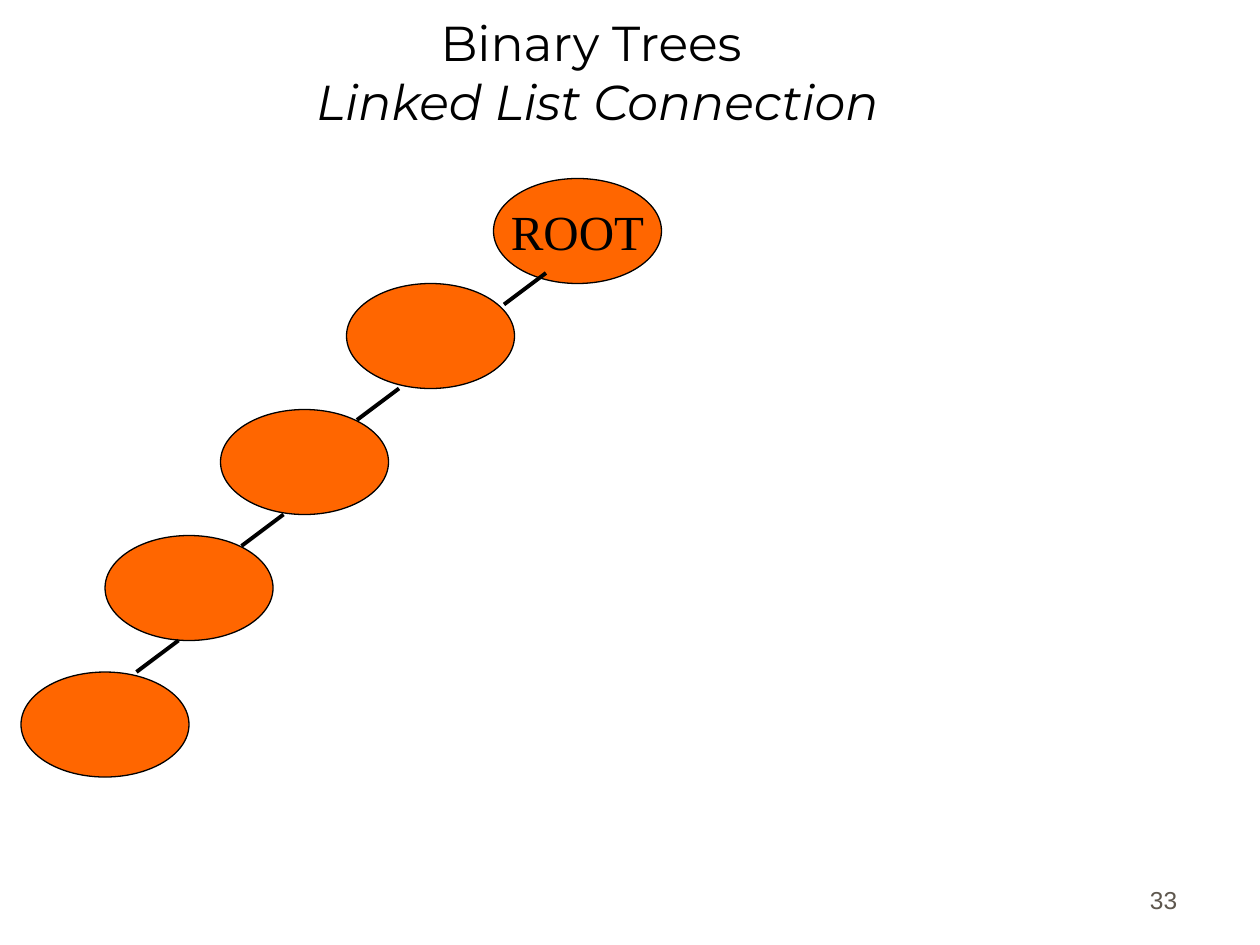
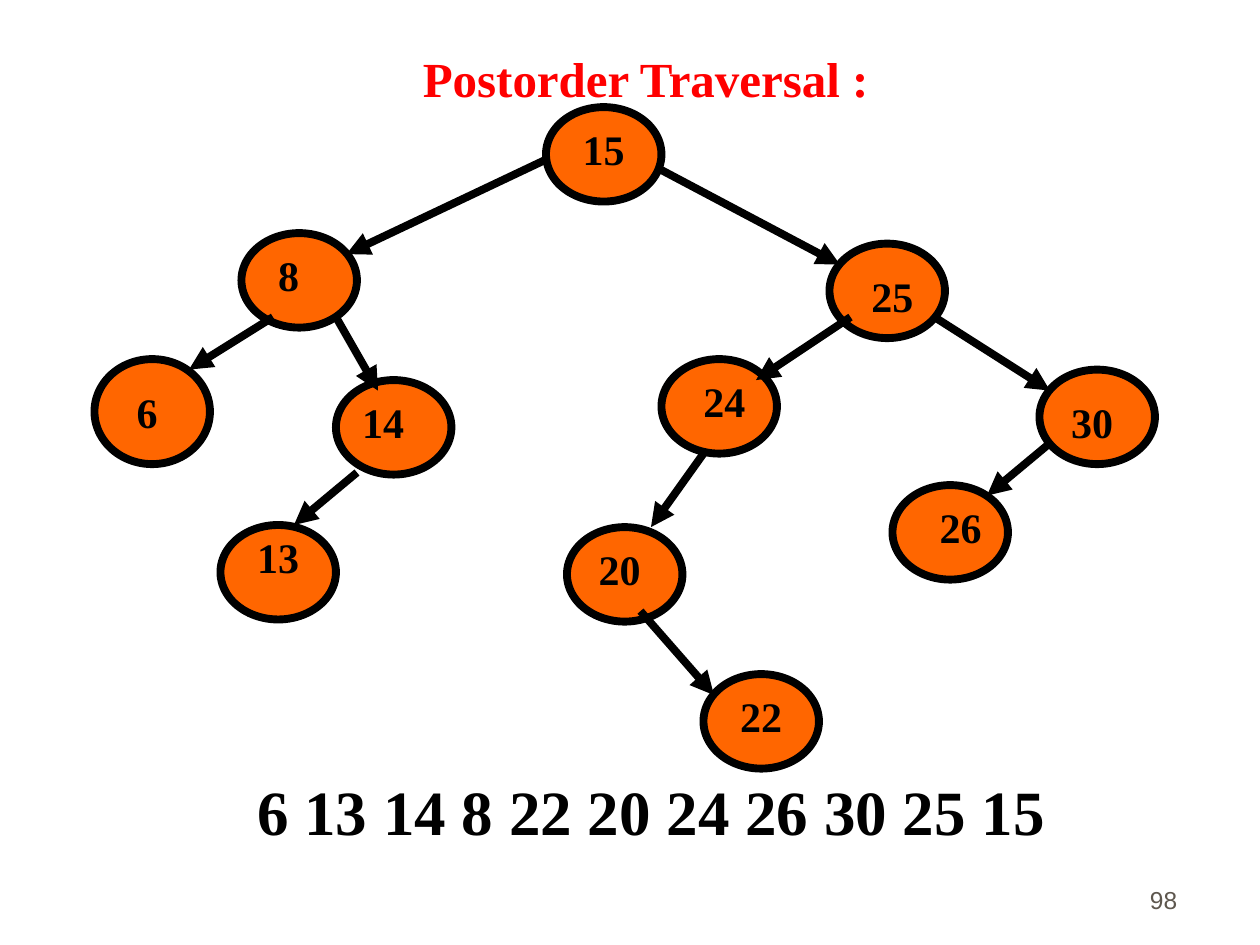
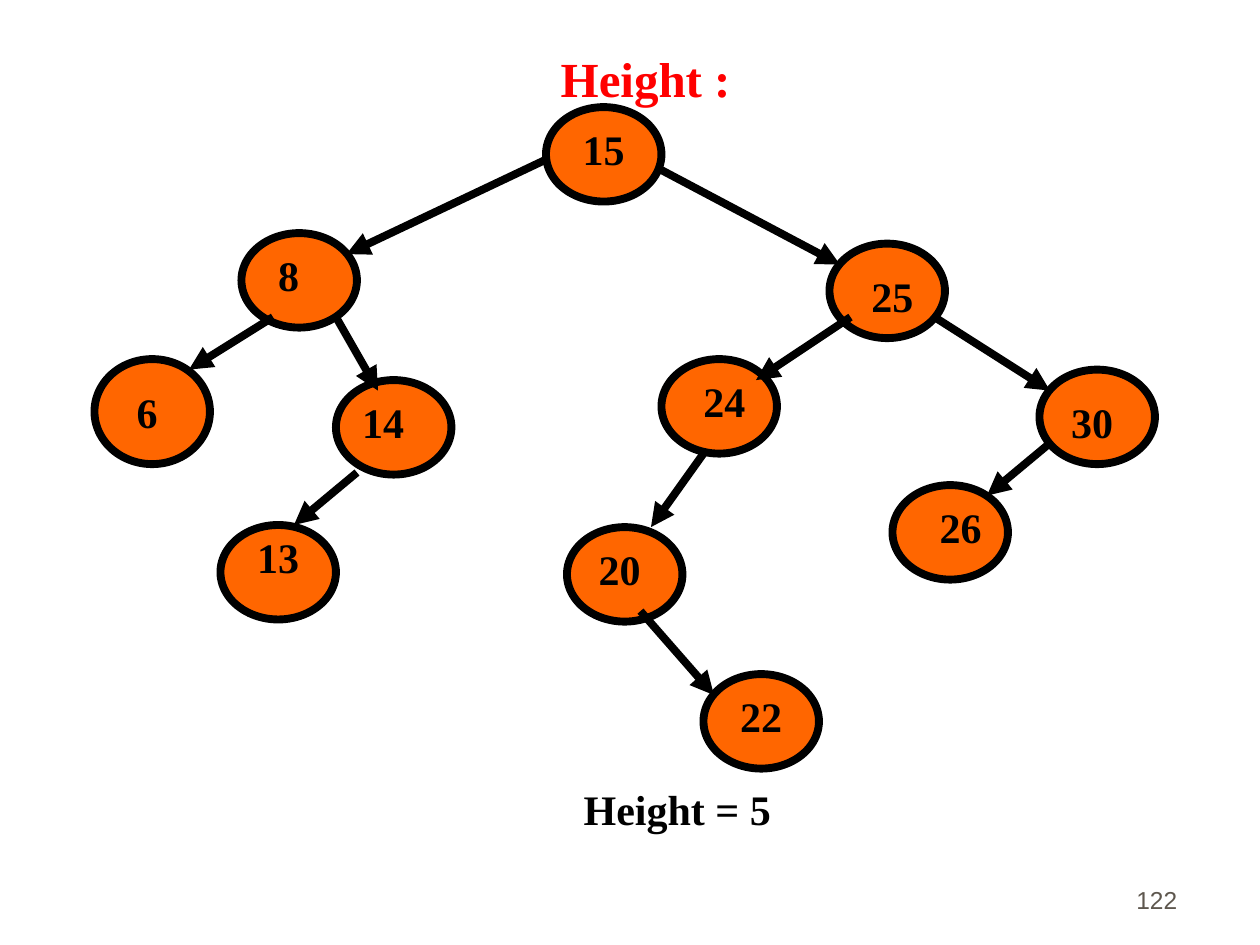
from lxml.etree import SubElement
from pptx import Presentation
from pptx.dml.color import RGBColor
from pptx.enum.shapes import MSO_CONNECTOR, MSO_SHAPE
from pptx.enum.text import MSO_ANCHOR, PP_ALIGN
from pptx.oxml.ns import qn
from pptx.util import Inches, Pt

presentation = Presentation()
presentation.slide_width = Inches(10)
presentation.slide_height = Inches(7.5)

# The slide is a grid of 120 columns by 90 rows with square cells
CELL = presentation.slide_width / 120

COLORS = {"black": "000000", "node": "FF6600", "heading": "FF0000", "number": "5E574E"}

# Text formats
SERIF = "Times New Roman"
TITLE = {"color": "black", "font": {"name": "Montserrat", "size": Pt(28)},
         "frame": {"vertical_anchor": MSO_ANCHOR.BOTTOM, "word_wrap": True}}
ROOT = {"color": "black", "font": {"name": SERIF, "size": Pt(28)},
        "frame": {"vertical_anchor": MSO_ANCHOR.MIDDLE, "word_wrap": False}}
HEADING = {"color": "heading", "font": {"name": SERIF, "size": Pt(28), "bold": True}}
LABEL = {"color": "black", "font": {"name": SERIF, "size": Pt(24), "bold": True}}
RESULT = {"color": "black", "font": {"name": SERIF, "size": Pt(36), "bold": True}}
NUMBER = {"color": "number", "font": {"name": "Arial", "size": Pt(14)},
          "frame": {"vertical_anchor": MSO_ANCHOR.BOTTOM, "word_wrap": True},
          "alignment": PP_ALIGN.RIGHT}


def cells(*values):
    """Turn grid cells into slide lengths."""
    return [round(value * CELL) for value in values]


def add_text(slide, box, text, style):
    """Add a text box and return its paragraph."""
    frame = slide.shapes.add_textbox(*cells(*box)).text_frame
    for name, value in style.get("frame", {"word_wrap": True}).items():
        setattr(frame, name, value)
    paragraph = frame.paragraphs[0]
    paragraph.alignment = style.get("alignment", PP_ALIGN.CENTER)
    paragraph.add_run().text = text
    for name, value in style["font"].items():
        setattr(paragraph.font, name, value)
    paragraph.font.color.rgb = RGBColor.from_string(COLORS[style["color"]])
    return paragraph


# Linked list: node boxes, and links that all run 4 columns left and 3 rows down
list_nodes = [(column, row, 16, 10)
              for column, row in [(47, 17), (33, 27), (21, 39), (10, 51), (2, 64)]]
list_links = [(column, row, column - 4, row + 3)
              for column, row in [(52, 26), (38, 37), (27, 49), (17, 61)]]

# Search tree: value, node column and row, node height, label column, row and width
TREE = [
    ("15", 52, 10.2, 9, 54, 11.2, 7),
    ("8", 23, 22.2, 9, 25, 23.2, 5),
    ("25", 79, 23.2, 9, 81, 25.2, 8),
    ("6", 9, 34.2, 10, 10, 36.2, 8),
    ("14", 32, 36.2, 9, 33, 37.2, 7),
    ("24", 63, 34.2, 9, 65, 35.2, 8),
    ("20", 54, 50.2, 9, 55, 51.2, 8),
    ("22", 67, 64.2, 9, 69, 65.2, 7),
    ("30", 99, 35.2, 9, 100, 37.2, 8),
    ("26", 85, 46.2, 9, 88, 47.2, 7),
    ("13", 21, 50, 9, 23, 50, 7),
]
tree_nodes = [(column, row, 11, height) for _, column, row, height, *_ in TREE]
tree_labels = [((column, row, width, 6), value, LABEL)
               for value, _, _, _, column, row, width in TREE]
tree_links = [
    (52, 15.2, 33, 24.2), (63, 16.2, 80, 25.2), (26, 30.2, 18, 35.2),
    (32, 30.2, 36, 37.2), (81, 30.2, 72, 36.2), (67, 43.2, 62, 50.2),
    (89, 30.2, 100, 37.2), (100, 42.2, 94, 47.2), (61, 58.2, 68, 66.2),
    (34, 45, 28, 50),
]
HEADING_BOX = (26, 4, 71, 6.8)

# Slide contents
SLIDES = [
    {"number": "33", "nodes": list_nodes, "links": list_links,
     "outline": 0.75, "stroke": 2.25, "arrows": False,
     "texts": [(list_nodes[0], "ROOT", ROOT)]},
    {"number": "98", "nodes": tree_nodes, "links": tree_links,
     "outline": 4.5, "stroke": 4.5, "arrows": True,
     "texts": tree_labels + [
         (HEADING_BOX, "Postorder Traversal :", HEADING),
         ((11, 73, 102, 8.4), "6 13 14 8 22 20 24 26 30 25 15", RESULT)]},
    {"number": "122", "nodes": tree_nodes, "links": tree_links,
     "outline": 4.5, "stroke": 4.5, "arrows": True,
     "texts": tree_labels + [
         (HEADING_BOX, "Height :", HEADING),
         ((16, 74, 97, 6), "Height = 5", LABEL)]},
]

for content in SLIDES:
    slide = presentation.slides.add_slide(presentation.slide_layouts[6])

    # Nodes
    for box in content["nodes"]:
        node = slide.shapes.add_shape(MSO_SHAPE.OVAL, *cells(*box))
        node.shadow.inherit = False
        node.fill.solid()
        node.fill.fore_color.rgb = RGBColor.from_string(COLORS["node"])
        node.line.color.rgb = RGBColor.from_string(COLORS["black"])
        node.line.width = Pt(content["outline"])

    # Links from parent to child
    for ends in content["links"]:
        link = slide.shapes.add_connector(MSO_CONNECTOR.STRAIGHT, *cells(*ends))
        link.line.color.rgb = RGBColor.from_string(COLORS["black"])
        link.line.width = Pt(content["stroke"])
        if content["arrows"]:
            SubElement(link.line._get_or_add_ln(), qn("a:tailEnd"), type="triangle")
        SubElement(link._element.spPr, qn("a:effectLst"))

    # Texts and slide number
    for box, text, style in content["texts"]:
        add_text(slide, box, text, style)
    add_text(slide, (88.3, 81.7, 25, 6), content["number"], NUMBER)

# Two-line title of the first slide
title = add_text(presentation.slides[0], (5.3, 3, 102, 10), "Binary Trees", TITLE)
title.add_line_break()
subtitle = title.add_run()
subtitle.text = " Linked List Connection"
subtitle.font.italic = True

presentation.save("out.pptx")
